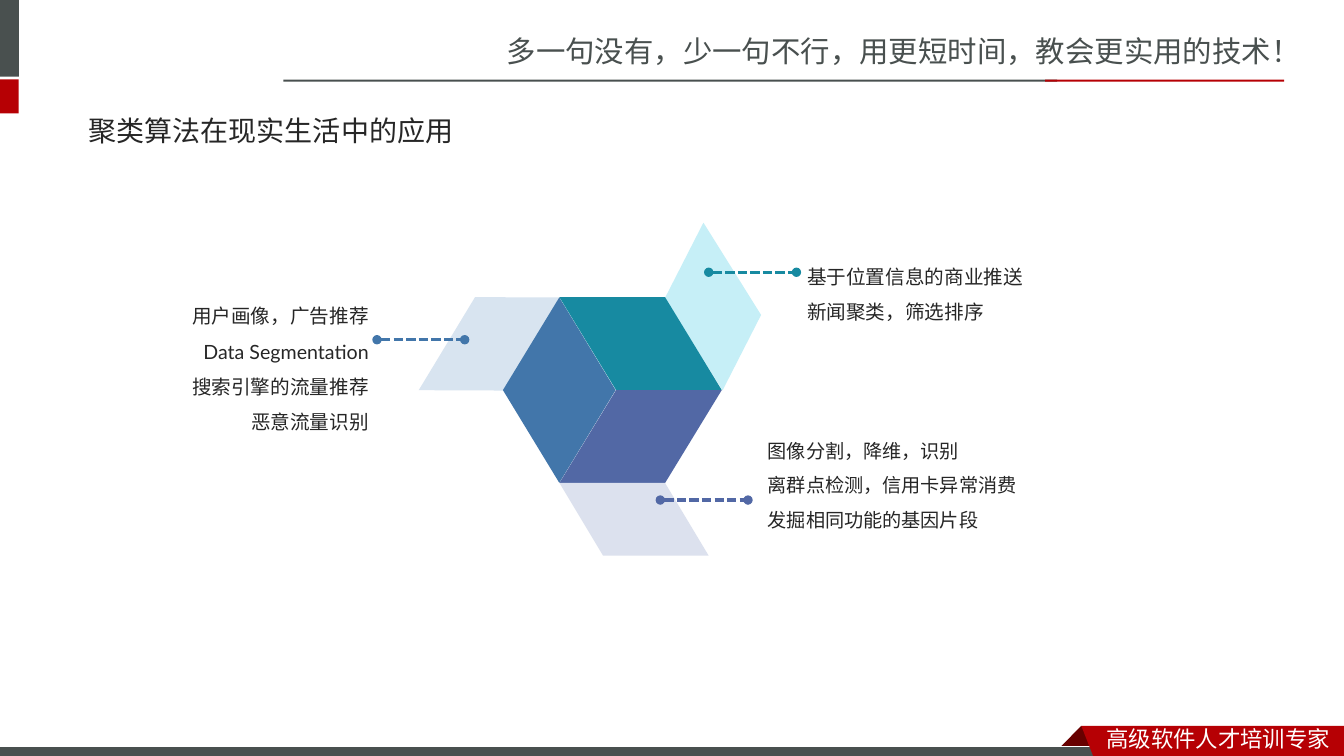
from lxml.etree import SubElement
from pptx import Presentation
from pptx.dml.color import RGBColor
from pptx.enum.dml import MSO_LINE
from pptx.enum.shapes import MSO_CONNECTOR, MSO_SHAPE
from pptx.enum.text import MSO_ANCHOR, MSO_AUTO_SIZE, PP_ALIGN
from pptx.oxml.ns import qn
from pptx.util import Cm, Pt

GRAY = RGBColor(0x49, 0x50, 0x4F)
RED = RGBColor(0xB6, 0x00, 0x04)
DARK = RGBColor(0x68, 0x00, 0x00)
WHITE = RGBColor(0xFF, 0xFF, 0xFF)
INK = RGBColor(0x26, 0x26, 0x26)
BLUE = RGBColor(0x42, 0x76, 0xAA)
TEAL = RGBColor(0x17, 0x8A, 0xA1)
PLUM = RGBColor(0x52, 0x68, 0xA5)
PALE_BLUE = RGBColor(0xD8, 0xE4, 0xF0)
PALE_TEAL = RGBColor(0xC6, 0xEF, 0xF7)
PALE_PLUM = RGBColor(0xDC, 0xE1, 0xEE)
LATO, NOTO = "Lato", "Noto Sans CJK SC"
LEFT, RIGHT = PP_ALIGN.LEFT, PP_ALIGN.RIGHT
RECT, SLANT = MSO_SHAPE.RECTANGLE, MSO_SHAPE.PARALLELOGRAM
RHOMB = MSO_SHAPE.FLOWCHART_DECISION

TITLE = ("聚类算法在现实生活中的应用", (1.98, 2.34, 17.93, 1.45))
FRAME = [
    ("多一句没有，少一句不行，用更短时间，教会更实用的技术！",
     (12.52, 0.71, 21.35, 1.2), 21, GRAY),
    ("高级软件人才培训专家", (27.64, 18.16, 6.22, 0.94), 16, WHITE),
]
BARS = [
    ((0, 0, 0.48, 1.93), GRAY),
    ((0, 2, 0.47, 0.86), RED),
    ((7.14, 2.01, 19.5, 0.05), GRAY),
    ((26.34, 2.01, 6.02, 0.05), RED),
]
FOLD = [(27.25, 18.29), (27.81, 18.85), (27.79, 18.87),
        (26.72, 18.87), (26.7, 18.85)]
BASE = (-0.03, 18.82, 27.94, 0.3)
FLAG = [(27.25, 18.29), (33.87, 18.29), (33.87, 19.15), (27.58, 19.13)]
FACES = [
    (SLANT, (10.41, 7.75, 3.84, 1.83), 301.2, True, 0.6, PALE_BLUE),
    (RHOMB, (11.76, 8.41, 4.67, 2.84), 270, False, None, BLUE),
    (SLANT, (16.05, 6.81, 3.84, 1.83), 58, True, 0.6, PALE_TEAL),
    (SLANT, (14.1, 7.49, 4.09, 2.34), 0, True, 0.61, TEAL),
    (SLANT, (14.1, 9.83, 4.09, 2.34), 0, False, 0.61, PLUM),
    (SLANT, (14.1, 12.17, 3.76, 1.83), 0, True, 0.6, PALE_PLUM),
]
NOTES = [
    (["用户画像，广告推荐", "Data Segmentation", "搜索引擎的流量推荐", "恶意流量识别"],
     (3.61, 7.37, 5.89, 3.86), 14, RIGHT),
    (["基于位置信息的商业推送", "新闻聚类，筛选排序"],
     (20.14, 6.38, 6.32, 2.03), 14, LEFT),
    (["图像分割，降维，识别", "离群点检测，信用卡异常消费", "发掘相同功能的基因片段"],
     (19.15, 10.77, 7.54, 2.79), 13.7, LEFT),
]
SPAN = 2.21
LEADS = [(16.64, 12.6, PLUM), (9.5, 8.56, BLUE), (17.86, 6.86, TEAL)]
TIGHT = {"margin_left": Cm(0.2), "margin_right": Cm(0.2),
         "margin_top": 0, "margin_bottom": 0}


def assign(item, form):
    for key, val in form.items():
        setattr(item, key, val)


def place(box):
    return [Cm(n) for n in box]


def paint(shape, fill, edge=None):
    shape.shadow.inherit = False
    shape.fill.solid()
    shape.fill.fore_color.rgb = fill
    if edge is None:
        shape.line.fill.background()
    else:
        shape.line.color.rgb = edge
        shape.line.width = Pt(0.75)


def write(frame, lines, size, ink, face, align=LEFT, gap=1.0):
    assign(frame, {"word_wrap": True, "auto_size": MSO_AUTO_SIZE.NONE})
    for i, line in enumerate(lines):
        para = frame.add_paragraph() if i else frame.paragraphs[0]
        assign(para, {"alignment": align, "line_spacing": gap,
                      "space_before": Pt(0)})
        run = para.add_run()
        run.text = line
        assign(run.font, {"size": Pt(size), "name": face, "bold": False})
        run.font.color.rgb = ink
        SubElement(run.font._element, qn("a:ea"), typeface=NOTO)


def outline(shapes, points, fill):
    first, *rest = [place(p) for p in points]
    form = shapes.build_freeform(*first, scale=1.0)
    form.add_line_segments(rest, close=True)
    paint(form.convert_to_shape(), fill)


def lead(shapes, x, y, ink):
    line = shapes.add_connector(MSO_CONNECTOR.STRAIGHT,
                                *place((x, y, x + SPAN, y)))
    assign(line.line, {"width": Pt(2.25), "dash_style": MSO_LINE.SQUARE_DOT})
    line.line.color.rgb = ink
    props = line._element.spPr
    edge = props.find(qn("a:ln"))
    for end in ("a:headEnd", "a:tailEnd"):
        SubElement(edge, qn(end), type="oval")
    SubElement(props, qn("a:effectLst"))


def main():
    deck = Presentation()
    assign(deck, {"slide_width": Cm(33.87), "slide_height": Cm(19.05)})
    slide = deck.slides.add_slide(deck.slide_layouts[5])
    shapes = slide.shapes

    text, box = TITLE
    title = shapes.title
    assign(title, dict(zip(("left", "top", "width", "height"), place(box))))
    title.text_frame.vertical_anchor = MSO_ANCHOR.MIDDLE
    write(title.text_frame, [text], 20, INK, LATO, gap=1.5)

    for box, fill in BARS:
        paint(shapes.add_shape(RECT, *place(box)), fill)
    outline(shapes, FOLD, DARK)
    paint(shapes.add_shape(RECT, *place(BASE)), GRAY, WHITE)
    outline(shapes, FLAG, RED)
    for text, box, size, ink in FRAME:
        area = shapes.add_textbox(*place(box))
        write(area.text_frame, [text], size, ink, NOTO)

    for kind, box, turn, flip, skew, fill in FACES:
        face = shapes.add_shape(kind, *place(box))
        face.rotation = turn
        if skew:
            face.adjustments[0] = skew
        if flip:
            face._element.spPr.xfrm.set("flipH", "1")
        paint(face, fill)

    for lines, box, size, align in NOTES:
        area = shapes.add_textbox(*place(box))
        assign(area.text_frame, TIGHT)
        write(area.text_frame, lines, size, INK, LATO, align, 1.5)
    for x, y, ink in LEADS:
        lead(shapes, x, y, ink)

    deck.save("out.pptx")


if __name__ == "__main__":
    main()
